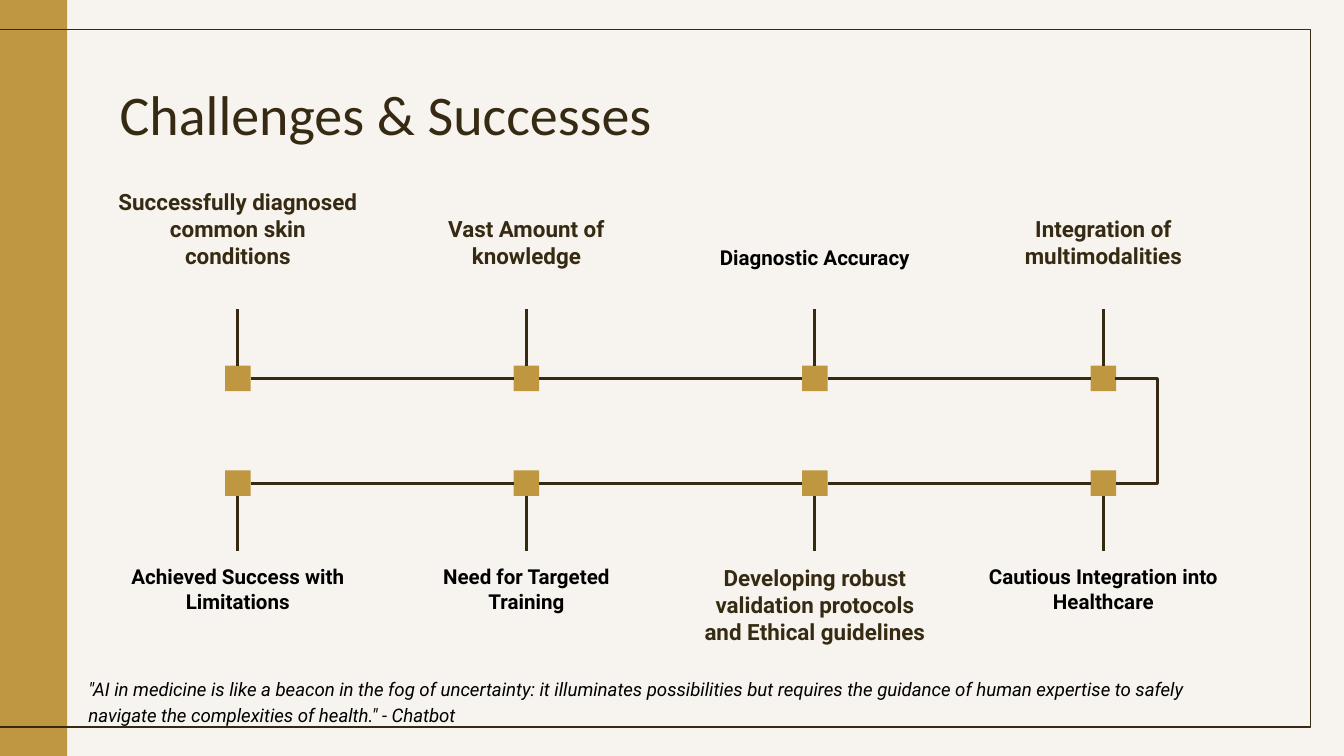
from itertools import pairwise

from lxml.etree import SubElement
from pptx import Presentation
from pptx.dml.color import RGBColor
from pptx.enum.shapes import MSO_CONNECTOR, MSO_SHAPE
from pptx.enum.text import MSO_ANCHOR, PP_ALIGN
from pptx.oxml.ns import qn
from pptx.util import Inches, Pt

COLORS = {"paper": "F7F4EF", "gold": "BF9740", "brown": "362B12", "black": "000000"}
SUCCESSES = [
    ("Successfully diagnosed common skin conditions", 12, "brown"),
    ("Vast Amount of knowledge", 12, "brown"),
    ("Diagnostic Accuracy", 11, "black"),
    ("Integration of multimodalities", 12, "brown"),
]
CHALLENGES = [
    ("Achieved Success with Limitations", 11, "black"),
    ("Need for Targeted Training", 11, "black"),
    ("Developing robust validation protocols and Ethical guidelines", 12, "brown"),
    ("Cautious Integration into Healthcare", 11, "black"),
]
QUOTE = (
    '"AI in medicine is like a beacon in the fog of uncertainty: it illuminates '
    "possibilities but requires the guidance of human expertise to safely "
    'navigate the complexities of health." - Chatbot'
)
SLIDE_W = 10
SLIDE_H = SLIDE_W * 9 / 16
FIRST_CENTER, LAST_CENTER = 1.77, 8.21
STEP = (LAST_CENTER - FIRST_CENTER) / 3
MARKER = 0.19
LABEL_W, LABEL_H = 1.98, 0.6
TOP_Y, BOTTOM_Y = 2.72, 3.5
TURN = 0.31


def color(name):
    return RGBColor.from_string(COLORS[name])


def add_rect(slide, x, y, w, h, fill=None, line=None):
    sp = slide.shapes.add_shape(
        MSO_SHAPE.RECTANGLE, Inches(x), Inches(y), Inches(w), Inches(h)
    )
    sp.shadow.inherit = False
    if fill:
        sp.fill.solid()
        sp.fill.fore_color.rgb = color(fill)
    else:
        sp.fill.background()
    if line:
        sp.line.color.rgb = color(line)
        sp.line.width = Pt(0.75)
    else:
        sp.line.fill.background()
    return sp


def format_text(sp, text, size, font, ink, align=PP_ALIGN.LEFT,
                anchor=MSO_ANCHOR.TOP, bold=False, italic=False):
    tf = sp.text_frame
    tf.text = text
    tf.word_wrap = True
    tf.vertical_anchor = anchor
    tf.margin_left = tf.margin_right = Inches(0.1)
    tf.margin_top = tf.margin_bottom = Inches(0.1)
    p = tf.paragraphs[0]
    p.alignment = align
    f = p.runs[0].font
    f.size, f.name, f.bold, f.italic = Pt(size), font, bold, italic
    f.color.rgb = color(ink)
    return p


def add_text(slide, x, y, w, h):
    return slide.shapes.add_textbox(Inches(x), Inches(y), Inches(w), Inches(h))


def add_line(slide, x1, y1, x2, y2, kind=MSO_CONNECTOR.STRAIGHT):
    line = slide.shapes.add_connector(
        kind, Inches(x1), Inches(y1), Inches(x2), Inches(y2)
    )
    line.line.color.rgb = color("brown")
    line.line.width = Pt(1.5)
    SubElement(line._element.spPr, qn("a:effectLst"))
    return line


def add_title(slide, text):
    title = slide.shapes.title
    title.left, title.top = Inches(0.79), Inches(0.49)
    title.width, title.height = Inches(8.43), Inches(0.63)
    format_text(title, text, 30, "Calibri", "brown")


def add_row(slide, items, y, label_y, stem_y, side, anchor):
    markers = []
    for i, (text, size, ink) in enumerate(items):
        center = FIRST_CENTER + i * STEP
        marker = add_rect(slide, center - MARKER / 2, y, MARKER, MARKER, fill="gold")
        label = add_text(slide, center - LABEL_W / 2, label_y, LABEL_W, LABEL_H)
        format_text(label, text, size, "Roboto", ink, PP_ALIGN.CENTER, anchor, bold=True)
        stem = add_line(slide, center, y, center, stem_y)
        stem.begin_connect(marker, side)
        if stem_y == label_y:
            stem.end_connect(label, 0)
        markers.append(marker)
    for left, right in pairwise(markers):
        link = add_line(slide, 0, y, 1, y)
        link.begin_connect(left, 3)
        link.end_connect(right, 1)


def add_turn(slide):
    x = LAST_CENTER + MARKER / 2
    width = 0.01
    turn = add_line(slide, x - width, TOP_Y + MARKER / 2, x, BOTTOM_Y + MARKER / 2,
                    MSO_CONNECTOR.ELBOW)
    guides = turn._element.spPr.find(qn("a:prstGeom")).get_or_add_avLst()
    ratio = round((TURN + width) / width * 100000)
    SubElement(guides, qn("a:gd"), name="adj1", fmla=f"val {ratio}")


def add_quote(slide):
    sp = add_text(slide, 0.56, 4.92, 8.86, 0.56)
    p = format_text(sp, QUOTE, 10, "Roboto", "black", italic=True)
    p.line_spacing = 1.15


def main():
    prs = Presentation()
    prs.slide_width, prs.slide_height = Inches(SLIDE_W), Inches(SLIDE_H)
    s = prs.slides.add_slide(prs.slide_layouts[5])
    s.background.fill.solid()
    s.background.fill.fore_color.rgb = color("paper")
    add_rect(s, 0, 0, 0.5, SLIDE_H, fill="gold")
    add_rect(s, -0.15, 0.22, 9.9, 5.19, line="brown")
    add_title(s, "Challenges & Successes")
    add_row(s, SUCCESSES, TOP_Y, 1.5, 2.3, 0, MSO_ANCHOR.BOTTOM)
    add_row(s, CHALLENGES, BOTTOM_Y, 4.1, 4.1, 2, MSO_ANCHOR.TOP)
    add_turn(s)
    add_quote(s)
    prs.save("out.pptx")


if __name__ == "__main__":
    main()
